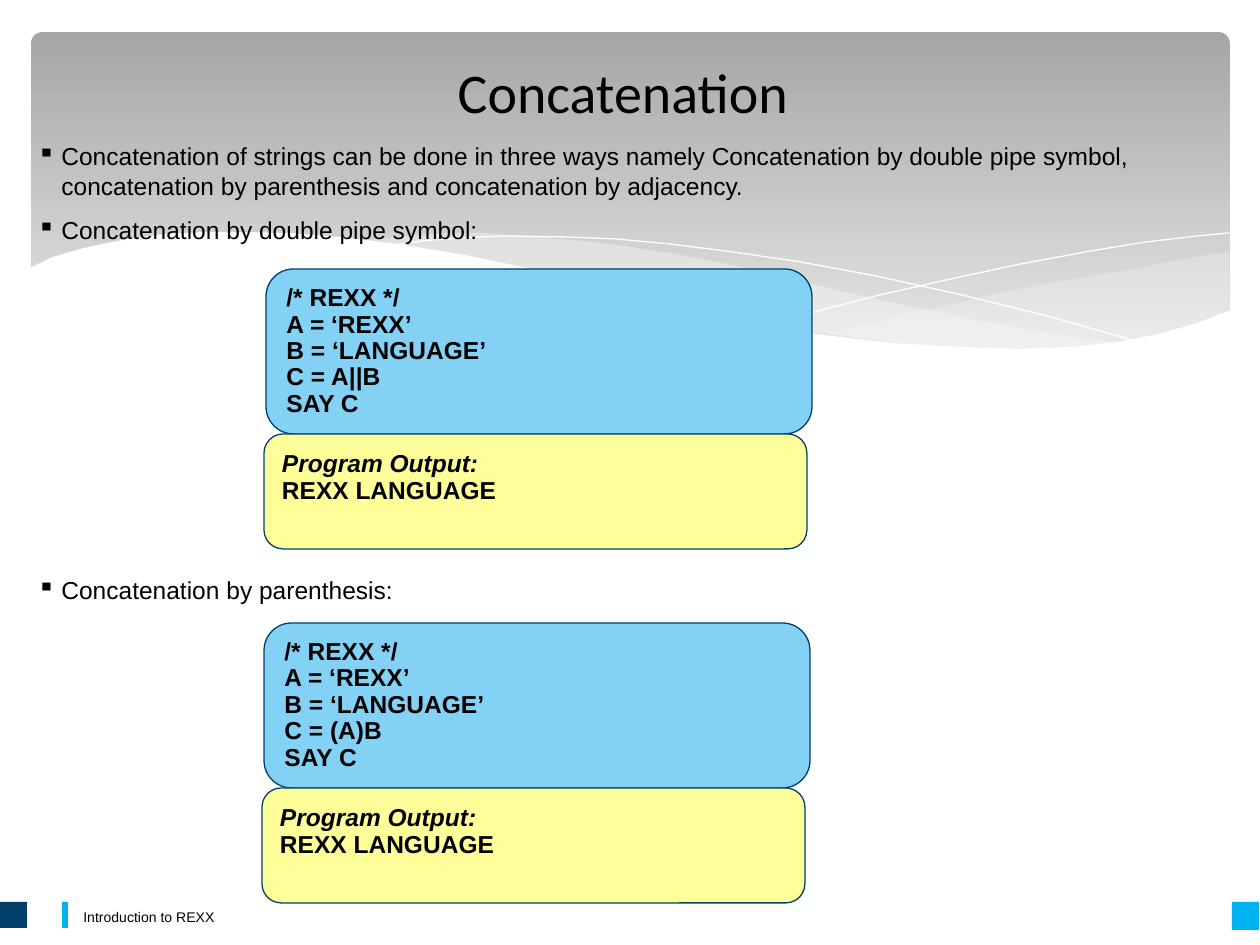
from lxml import etree
from pptx import Presentation
from pptx.dml.color import RGBColor
from pptx.enum.shapes import MSO_SHAPE
from pptx.enum.text import MSO_ANCHOR, PP_ALIGN
from pptx.oxml.ns import qn
from pptx.util import Pt

RECTANGLE, ROUNDED = MSO_SHAPE.RECTANGLE, MSO_SHAPE.ROUNDED_RECTANGLE
PROCESS = MSO_SHAPE.FLOWCHART_ALTERNATE_PROCESS
TOP, MIDDLE = MSO_ANCHOR.TOP, MSO_ANCHOR.MIDDLE
LEFT, CENTER = PP_ALIGN.LEFT, PP_ALIGN.CENTER
SCALE = 914400 / 126

THEME = {
    "black": RGBColor.from_string("000000"),
    "white": RGBColor.from_string("FFFFFF"),
    "wave": RGBColor.from_string("F8F8F8"),
    "banner": [RGBColor.from_string("A6A6A6"), RGBColor.from_string("EBEBEB")],
    "navy": RGBColor.from_string("003F69"),
    "cyan": RGBColor.from_string("00B2EF"),
    "code": RGBColor.from_string("83D1F5"),
    "output": RGBColor.from_string("FFFF99"),
    "title": {"name": "Calibri", "size": Pt(32)},
    "body": {"name": "Arial", "size": Pt(14)},
    "strong": {"name": "Arial", "size": Pt(14), "bold": True},
    "footer": {"name": "Arial", "size": Pt(8)},
}


def emu(*pixels):
    return [round(pixel * SCALE) for pixel in pixels]


def write(shape, lines, font, anchor=MIDDLE, align=LEFT, spacing=None):
    frame = shape.text_frame
    frame.word_wrap = True
    frame.vertical_anchor = anchor
    for index, line in enumerate(lines):
        paragraph = frame.add_paragraph() if index else frame.paragraphs[0]
        paragraph.alignment = align
        paragraph.line_spacing = spacing
        run = paragraph.add_run()
        run.text = line
        run.font.color.rgb = THEME["black"]
        for name, value in THEME[font].items():
            setattr(run.font, name, value)
    return frame


presentation = Presentation()
presentation.slide_width, presentation.slide_height = emu(1260, 945)
slide = presentation.slides.add_slide(presentation.slide_layouts[6])
shapes = slide.shapes

banner = shapes.add_shape(ROUNDED, *emu(31, 32, 1199, 340))
banner.adjustments[0] = 0.034
banner.shadow.inherit = False
banner.line.fill.background()
banner.fill.gradient()
banner.fill.gradient_angle = 270
for stop, color in zip(banner.fill.gradient_stops, THEME["banner"]):
    stop.color.rgb = color

right_wave = [
    (1229, 252), (1177, 260), (1142, 268), (1085, 277), (1014, 290), (949, 305),
    (889, 318), (833, 334), (871, 339), (922, 345), (969, 348), (1026, 350),
    (1075, 348), (1120, 343), (1160, 334), (1196, 324), (1229, 311),
]
middle_wave = [
    (1125, 344), (1055, 334), (977, 320), (890, 302), (793, 280), (736, 266),
    (682, 255), (631, 247), (585, 241), (529, 236), (479, 233), (433, 234),
    (394, 237), (360, 241), (407, 247), (456, 256), (509, 266), (566, 280),
    (619, 292), (713, 312), (757, 321), (799, 329), (838, 335), (893, 343),
    (943, 348), (989, 350), (1030, 352), (1068, 350),
]
falling_line = [
    (389, 246), (422, 241), (457, 238), (505, 236), (567, 237), (616, 239),
    (670, 244), (733, 252), (801, 262), (876, 276), (958, 294), (1047, 316),
    (1143, 343),
]
rising_line = [
    (772, 324), (822, 310), (876, 296), (942, 281), (1016, 265), (1091, 251),
    (1146, 242), (1198, 236), (1229, 233),
]
white_wave = [
    (1231, 310), (1197, 323), (1159, 334), (1118, 342), (1071, 347), (1019, 349),
    (959, 347), (892, 343), (815, 334), (732, 320), (667, 307), (599, 290),
    (527, 268), (460, 254), (397, 244), (341, 237), (290, 233), (243, 232),
    (203, 232), (166, 234), (134, 238), (107, 243), (84, 248), (66, 253),
    (50, 258), (36, 265), (29, 268), (29, 415), (1231, 415),
]
waves = [
    (right_wave, "wave", 29),
    (middle_wave, "wave", 40),
    (falling_line, None, 100),
    (rising_line, None, 100),
    (white_wave, "white", 100),
]
for points, color, opacity in waves:
    builder = shapes.build_freeform(*points[0], scale=SCALE)
    builder.add_line_segments(points[1:], close=color is not None)
    wave = builder.convert_to_shape()
    wave.shadow.inherit = False
    if color:
        wave.line.fill.background()
        wave.fill.solid()
        wave.fill.fore_color.rgb = THEME[color]
        tint = wave.fill._xPr.find(qn("a:solidFill"))[0]
        etree.SubElement(tint, qn("a:alpha"), val=str(opacity * 1000))
    else:
        wave.fill.background()
        wave.line.color.rgb = THEME["white"]
        wave.line.width = Pt(0)

footer = shapes.add_textbox(*emu(71, 900, 982, 33))
write(footer, ["Introduction to REXX"], "footer")
for left, width, height, color in [
    (0, 27, 26, "navy"), (1232, 27, 28, "cyan"), (62, 6, 26, "cyan")
]:
    marker = shapes.add_shape(RECTANGLE, *emu(left, 902, width, height))
    marker.shadow.inherit = False
    marker.line.fill.background()
    marker.fill.solid()
    marker.fill.fore_color.rgb = THEME[color]

title = shapes.add_textbox(*emu(56, 47, 1134, 88))
write(title, ["Concatenation"], "title", align=CENTER)

body = shapes.add_textbox(*emu(25, 135, 1197, 407))
bullets = [
    "Concatenation of strings can be done in three ways namely Concatenation by "
    "double pipe symbol, concatenation by parenthesis and concatenation by adjacency.",
    "Concatenation by double pipe symbol:",
    "Concatenation by parenthesis:",
]
frame = write(body, bullets, "body", anchor=TOP)
for paragraph, gap in zip(frame.paragraphs, [0, 8.8, 188.5]):
    paragraph.space_before = Pt(gap)
    properties = paragraph._p.get_or_add_pPr()
    indent = emu(24)[0]
    properties.set("marL", str(indent))
    properties.set("indent", str(-indent))
    bullet_color = etree.SubElement(properties, qn("a:buClr"))
    etree.SubElement(bullet_color, qn("a:srgbClr"), val=str(THEME["black"]))
    etree.SubElement(properties, qn("a:buChar"), char="▪")

result = ["Program Output:", "REXX LANGUAGE"]
for left, top, expression in [(266, 269, "C = A||B"), (264, 623, "C = (A)B")]:
    code = ["/* REXX */", "A = ‘REXX’", "B = ‘LANGUAGE’", expression, "SAY C"]
    for x, y, width, height, color, lines, bottom in [
        (left, top, 546, 165, "code", code, 6),
        (left - 2, top + 165, 543, 115, "output", result, 33),
    ]:
        box = shapes.add_shape(PROCESS, *emu(x, y, width, height))
        box.shadow.inherit = False
        box.fill.solid()
        box.fill.fore_color.rgb = THEME[color]
        box.line.color.rgb = THEME["navy"]
        box.line.width = Pt(0.75)
        frame = write(box, lines, "strong", spacing=0.9)
        frame.margin_bottom = emu(bottom)[0]
        frame.paragraphs[0].runs[0].font.italic = lines is result

presentation.save("out.pptx")
